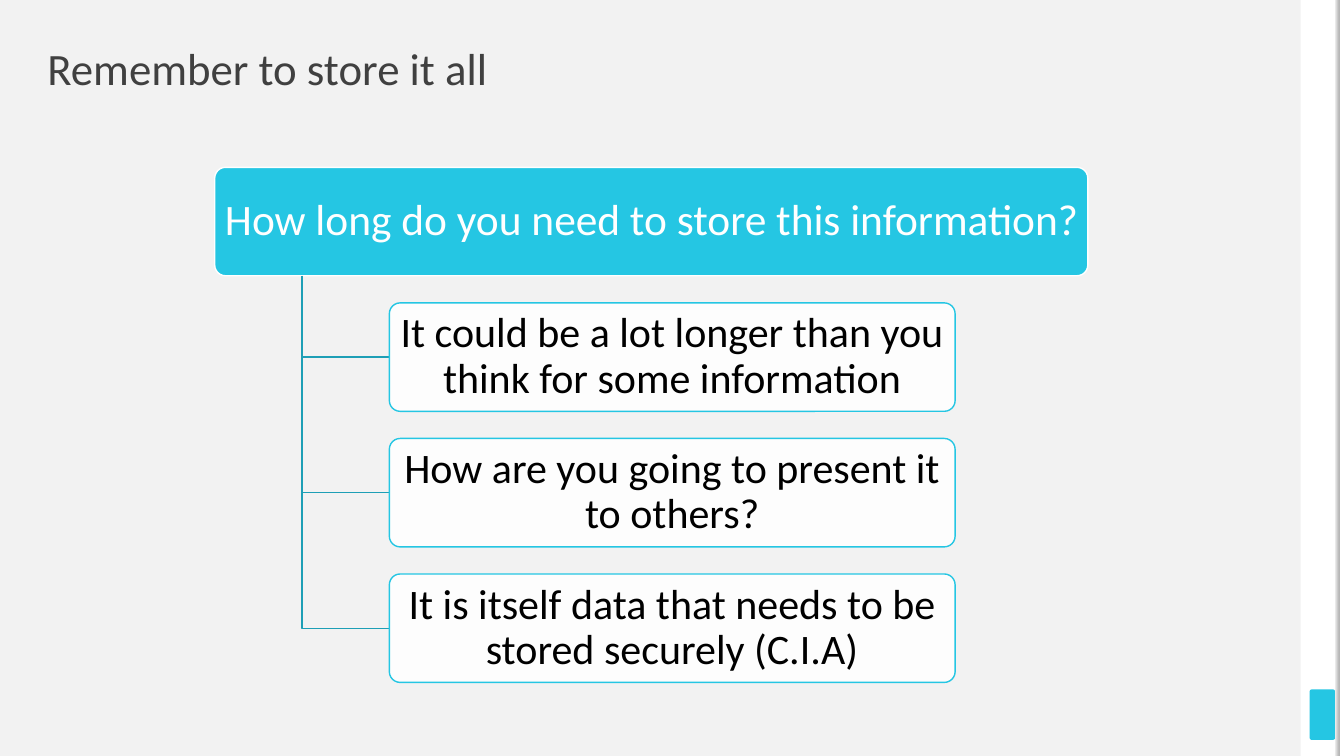
from dataclasses import dataclass

from lxml import etree
from pptx import Presentation
from pptx.dml.color import RGBColor
from pptx.enum.shapes import MSO_SHAPE
from pptx.enum.text import MSO_ANCHOR, MSO_AUTO_SIZE, PP_ALIGN
from pptx.oxml.ns import qn
from pptx.util import Inches, Pt

RECTANGLE = MSO_SHAPE.RECTANGLE
ROUNDED = MSO_SHAPE.ROUNDED_RECTANGLE
MIDDLE = MSO_ANCHOR.MIDDLE
NO_AUTOFIT = MSO_AUTO_SIZE.NONE
LEFT, CENTER = PP_ALIGN.LEFT, PP_ALIGN.CENTER


@dataclass(frozen=True)
class Theme:
    """Colours, font and type sizes of the slide."""

    background: str = "F2F2F2"
    white: str = "FFFFFF"
    accent: str = "25C6E3"
    branch: str = "1E9FB6"
    edge: str = "A6A6A6"
    title: str = "404040"
    black: str = "000000"
    font: str = "Calibri"
    title_size: int = 32
    question_size: int = 31
    answer_size: int = 30


THEME = Theme()
QUESTION = "How long do you need to store this information?"
ANSWERS = [
    "It could be a lot longer than you think for some information",
    "How are you going to present it to others?",
    "It is itself data that needs to be stored securely (C.I.A)",
]


def colour(value):
    """Return the RGB colour of a hex string."""
    return RGBColor.from_string(value)


def apply(target, values):
    """Set attributes of an object from a dict."""
    for name, value in values.items():
        setattr(target, name, value)


def write(shape, text, size, text_colour, alignment, insets):
    """Put one formatted paragraph into a shape."""
    horizontal, vertical = (Inches(inset) for inset in insets)
    frame = shape.text_frame
    frame.text = text
    apply(frame, {
        "word_wrap": True, "auto_size": NO_AUTOFIT, "vertical_anchor": MIDDLE,
        "margin_left": horizontal, "margin_right": horizontal,
        "margin_top": vertical, "margin_bottom": vertical,
    })
    paragraph = frame.paragraphs[0]
    apply(paragraph, {"alignment": alignment, "line_spacing": 0.9})
    font = paragraph.runs[0].font
    apply(font, {"name": THEME.font, "size": Pt(size)})
    font.color.rgb = colour(text_colour)


def add_block(slide, kind, box, fill, line=None, corner=None):
    """Add a filled shape with an optional outline and corner radius."""
    shape = slide.shapes.add_shape(kind, *(Inches(length) for length in box))
    shape.shadow.inherit = False
    shape.fill.solid()
    shape.fill.fore_color.rgb = colour(fill)
    if line:
        shape.line.color.rgb = colour(line)
        shape.line.width = Pt(1)
    else:
        shape.line.fill.background()
    if corner is not None:
        shape.adjustments[0] = corner
    return shape


def set_opacity(shape, percent):
    """Make the solid fill of a shape partly transparent."""
    fill_colour = shape.fill._xPr.find(qn("a:solidFill"))[0]
    etree.SubElement(fill_colour, qn("a:alpha"), val=str(percent * 1000))


def add_title(slide, box, text):
    """Place and format the title placeholder."""
    title = slide.shapes.title
    names = ("left", "top", "width", "height")
    apply(title, dict(zip(names, (Inches(length) for length in box))))
    write(title, text, THEME.title_size, THEME.title, LEFT, (0, 0))


def add_side_band(slide, box):
    """Draw the white band with its tab and shaded edge."""
    left, top, width, height = box
    strip = 0.05
    add_block(slide, RECTANGLE, box, THEME.white)
    add_block(slide, ROUNDED, (left + 0.09, top + height - 0.66, 0.25, 0.5),
              THEME.accent, corner=0.07)
    shade = add_block(slide, RECTANGLE,
                      (left + width - strip, top, strip, height), THEME.edge)
    shade.fill.gradient()
    shade.fill.gradient_angle = 0
    for stop, value in zip(shade.fill.gradient_stops, (THEME.background, THEME.edge)):
        stop.color.rgb = colour(value)


def add_branch(slide, start, end):
    """Draw an elbow line that goes down and then right."""
    (left, top), (right, bottom) = start, end
    builder = slide.shapes.build_freeform(Inches(left), Inches(top))
    builder.add_line_segments(
        [(Inches(left), Inches(bottom)), (Inches(right), Inches(bottom))], close=False)
    branch = builder.convert_to_shape()
    branch.shadow.inherit = False
    branch.fill.background()
    branch.line.color.rgb = colour(THEME.branch)
    branch.line.width = Pt(1)


def add_hierarchy(slide, box, question, answers):
    """Draw a question with its answers branching below it."""
    left, top, width, height = box
    count = len(answers)
    block_height = height / (1 + 1.25 * count)
    pitch = 1.25 * block_height
    answer_left = left + 0.2 * width
    answer_width = 0.648 * width
    insets = (0.06, 0.04)
    root = add_block(slide, ROUNDED, (left, top, width, block_height),
                     THEME.accent, THEME.white, 0.1)
    write(root, question, THEME.question_size, THEME.white, CENTER, insets)
    for index, answer in enumerate(answers, 1):
        answer_top = top + index * pitch
        add_branch(slide, (left + 0.1 * width, top + block_height),
                   (answer_left, answer_top + block_height / 2))
        block = add_block(slide, ROUNDED,
                          (answer_left, answer_top, answer_width, block_height),
                          THEME.white, THEME.accent, 0.1)
        set_opacity(block, 90)
        write(block, answer, THEME.answer_size, THEME.black, CENTER, insets)


def main():
    """Build and save the slide."""
    presentation = Presentation()
    apply(presentation, {"slide_width": Inches(13.33), "slide_height": Inches(7.5)})
    slide = presentation.slides.add_slide(presentation.slide_layouts[5])
    slide.background.fill.solid()
    slide.background.fill.fore_color.rgb = colour(THEME.background)
    add_side_band(slide, (12.9, 0, 0.39, 7.5))
    add_block(slide, RECTANGLE, (13.29, 0, 0.04, 7.5), THEME.white)
    add_title(slide, (0.47, 0.47, 5.98, 0.47), "Remember to store it all")
    add_hierarchy(slide, (2.13, 1.66, 8.66, 5.11), QUESTION, ANSWERS)
    presentation.save("out.pptx")


if __name__ == "__main__":
    main()
